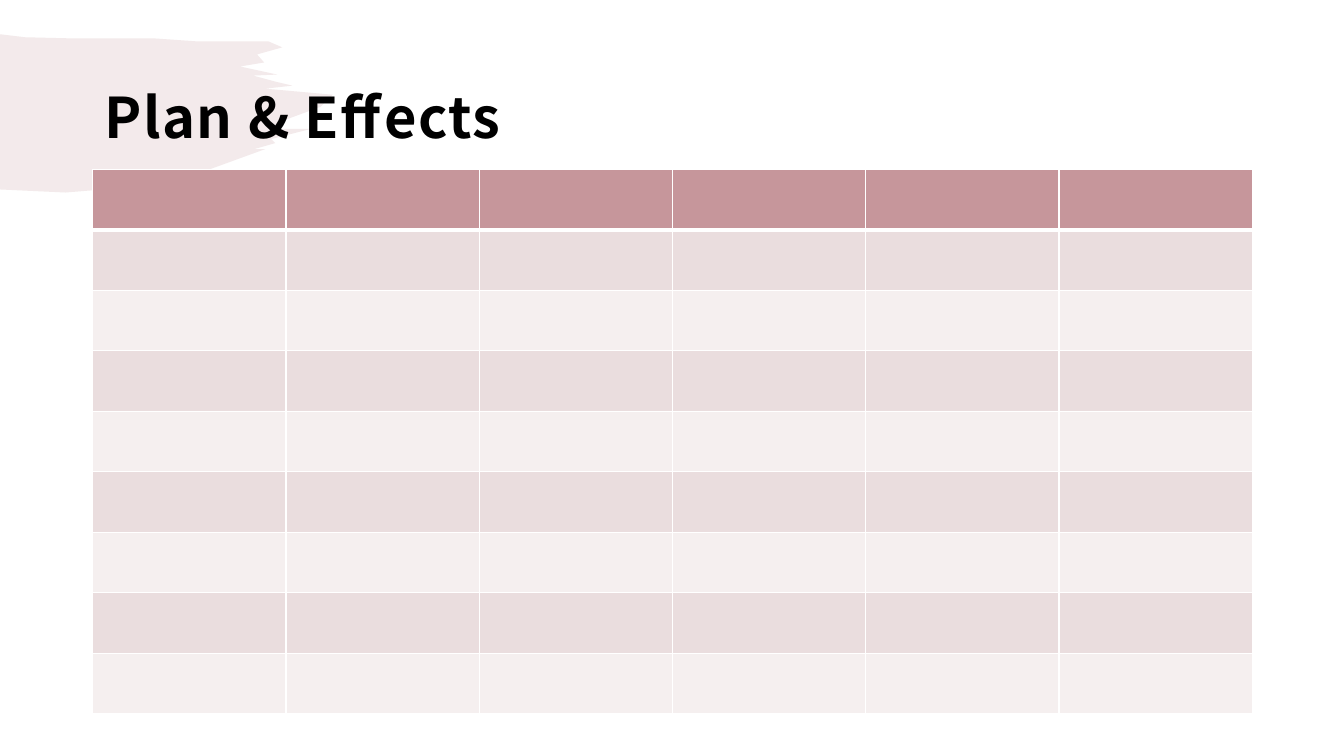
import pptx
import pptx.util
import pptx.dml.color
import pptx.enum.text
import pptx.oxml
import pptx.oxml.ns

Inches = pptx.util.Inches
RGBColor = pptx.dml.color.RGBColor

ROSE = RGBColor(0xC6, 0x96, 0x9B)
BAND_DARK = RGBColor(0xEA, 0xDD, 0xDE)
BAND_LIGHT = RGBColor(0xF5, 0xEF, 0xEF)
WHITE = RGBColor(0xFF, 0xFF, 0xFF)
BLACK = RGBColor(0x00, 0x00, 0x00)

BRUSH_OUTLINE = [
    (0, 0.34), (0.25, 0.37), (0.66, 0.38), (1.51, 0.38), (1.94, 0.41), (2.66, 0.41),
    (2.8, 0.47), (2.55, 0.54), (2.62, 0.62), (2.38, 0.66), (2.75, 0.74), (2.51, 0.75),
    (2.73, 0.81), (2.9, 0.85), (2.63, 0.88), (3.3, 0.94), (3.18, 1.06), (2.8, 1.2),
    (2.74, 1.28), (3.08, 1.28), (2.69, 1.38), (2.73, 1.42), (2.52, 1.48), (2.63, 1.48),
    (1.97, 1.72), (1.02, 1.88), (0.65, 1.91), (0, 1.88),
]


def set_values(target, values):
    for name, value in values.items():
        setattr(target, name, value)


class SlideBuilder:
    font = {"name": "Noto Sans CJK KR", "size": pptx.util.Pt(40), "bold": True}

    def __init__(self, page):
        self.page = page

    def title(self, text, left, top, width, height):
        box = self.page.shapes.title
        set_values(box, {"left": Inches(left), "top": Inches(top),
                         "width": Inches(width), "height": Inches(height)})
        set_values(box.text_frame, {
            "word_wrap": True,
            "auto_size": pptx.enum.text.MSO_AUTO_SIZE.NONE,
            "vertical_anchor": pptx.enum.text.MSO_ANCHOR.MIDDLE,
            "margin_left": Inches(0.12), "margin_top": Inches(0.12),
            "margin_right": Inches(0.12), "margin_bottom": Inches(0.1)})
        para = box.text_frame.paragraphs[0]
        set_values(para, {"alignment": pptx.enum.text.PP_ALIGN.LEFT, "line_spacing": 1.05})
        span = para.add_run()
        span.text = text
        set_values(span.font, self.font)
        span.font.color.rgb = BLACK
        span._r.get_or_add_rPr().set("spc", "100")

    def brush(self, outline, color, opacity):
        points = [(Inches(x), Inches(y)) for x, y in outline]
        builder = self.page.shapes.build_freeform(*points[0])
        builder.add_line_segments(points[1:], close=True)
        stroke = builder.convert_to_shape()
        stroke.shadow.inherit = False
        stroke.line.fill.background()
        stroke.fill.solid()
        stroke.fill.fore_color.rgb = color
        shade = stroke.element.spPr.find(".//" + pptx.oxml.ns.qn("a:srgbClr"))
        shade.append(pptx.oxml.parse_xml(
            f'<a:alpha {pptx.oxml.ns.nsdecls("a")} val="{opacity * 1000}"/>'))
        self.page.shapes.title.element.addprevious(stroke.element)

    def border(self, cell, side, points):
        width = pptx.util.Pt(points)
        cell._tc.get_or_add_tcPr().append(pptx.oxml.parse_xml(
            f'<a:{side} {pptx.oxml.ns.nsdecls("a")} w="{width}"><a:solidFill>'
            f'<a:srgbClr val="{WHITE}"/></a:solidFill></a:{side}>'))

    def table(self, rows, columns, left, top, width, height):
        grid = self.page.shapes.add_table(
            rows, columns, Inches(left), Inches(top), Inches(width), Inches(height)).table
        for row in range(rows):
            fill = ROSE if row == 0 else BAND_DARK if row % 2 else BAND_LIGHT
            widths = {"lnL": 1, "lnR": 1, "lnT": 3 if row == 1 else 1,
                      "lnB": 3 if row == 0 else 1}
            for column in range(columns):
                cell = grid.cell(row, column)
                for side, points in widths.items():
                    self.border(cell, side, points)
                cell.fill.solid()
                cell.fill.fore_color.rgb = fill


deck = pptx.Presentation()
set_values(deck, {"slide_width": Inches(13.33), "slide_height": Inches(7.5)})
plan = SlideBuilder(deck.slides.add_slide(deck.slide_layouts[5]))
plan.brush(BRUSH_OUTLINE, ROSE, 20)
plan.title("Plan & Effects", 0.92, 0.4, 11.5, 1.45)
plan.table(9, 6, 0.92, 1.68, 11.5, 5.4)
deck.save("out.pptx")
